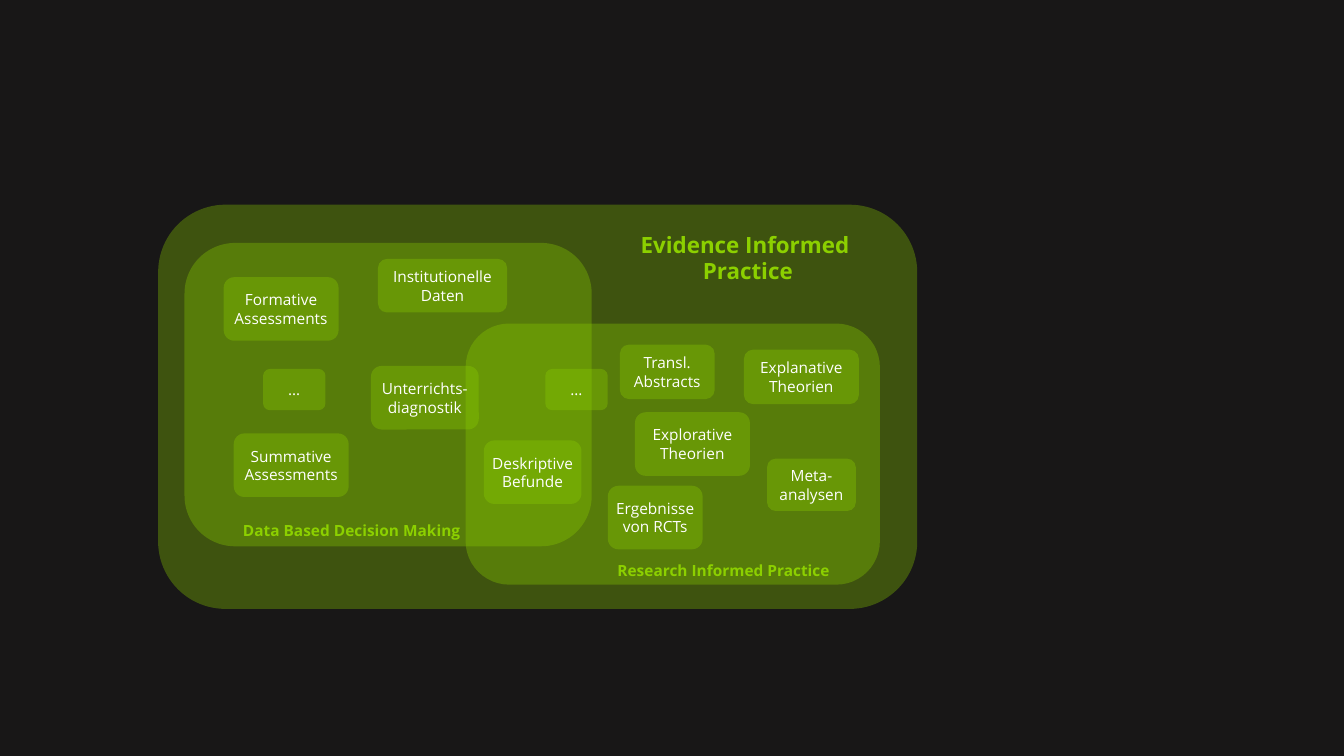
"""Build the slide on evidence informed practice and its overlapping areas."""
from dataclasses import dataclass

from lxml.etree import SubElement
from pptx import Presentation
from pptx.dml.color import RGBColor
from pptx.enum.shapes import MSO_SHAPE as Preset
from pptx.enum.text import MSO_ANCHOR as Anchor, PP_ALIGN as Align
from pptx.oxml.ns import qn
from pptx.shapes.autoshape import Shape
from pptx.slide import Slide
from pptx.text.text import TextFrame
from pptx.util import Pt

FONT = "Open Sans"
GREEN, WHITE, BACKDROP = "8CD000", "FFFFFF", "181717"
OPACITY = 33
BODY_SIZE, TITLE_SIZE = 11, 16
CONCEPT_WIDTH, CONCEPT_HEIGHT = 82.1, 45.4
ELLIPSIS_TOP, ELLIPSIS_WIDTH, ELLIPSIS_HEIGHT = 263.5, 44.6, 29.5
HEADING_WIDTH = 262.1


@dataclass
class Area:
    """A translucent rounded area."""
    left: float
    top: float
    width: float
    height: float


@dataclass
class Concept:
    """A small rounded area that carries a term."""
    term: str
    left: float
    top: float
    width: float = CONCEPT_WIDTH
    height: float = CONCEPT_HEIGHT


@dataclass
class Heading:
    """The name of an area, one entry per line."""
    lines: list[str]
    left: float
    top: float
    height: float = 20.9
    size: float = BODY_SIZE


AREAS = [
    Area(113, 146.2, 542.2, 288.7),
    Area(332.6, 231.1, 295.9, 186.5),
    Area(131.8, 173.5, 290.9, 216.7),
]

CONCEPTS = [
    Concept("Explanative Theorien", 531.4, 249.8, height=38.9),
    Concept("Explorative Theorien", 453.6, 294.5),
    Concept("Ergebnisse von RCTs", 434.2, 347, 67.7),
    Concept("Meta-analysen", 547.9, 327.6, 63.4, 37.4),
    Concept("Transl. Abstracts", 442.8, 246.2, 67.7, 38.9),
    Concept("Deskriptive Befunde", 345.6, 314.6, 69.8),
    Concept("Unterrichts-diagnostik", 265, 261.4, 77),
    Concept("Formative Assessments", 159.8, 198),
    Concept("Summative Assessments", 167, 309.6),
    Concept("Institutionelle Daten", 270, 185, 92.2, 38.2),
] + [
    Concept("…", left, ELLIPSIS_TOP, ELLIPSIS_WIDTH, ELLIPSIS_HEIGHT)
    for left in (187.9, 389.5)
]

HEADINGS = [
    Heading(["Evidence Informed ", "Practice"], 403.2, 161.3, 46.1, TITLE_SIZE),
    Heading(["Research Informed Practice"], 385.9, 397.4),
    Heading(["Data Based Decision Making"], 120.2, 368.6),
]


def rgb(code: str) -> RGBColor:
    """Turn a hex string into a colour."""
    return RGBColor.from_string(code)


def write(frame: TextFrame, lines: list[str], size: float, colour: str, bold: bool = False) -> None:
    """Fill a frame with centred, wrapped lines."""
    frame.word_wrap = True
    frame.text = "\n".join(lines)
    for paragraph in frame.paragraphs:
        paragraph.alignment = Align.CENTER
        paragraph.font.name = FONT
        paragraph.font.size = Pt(size)
        paragraph.font.bold = bold
        paragraph.font.color.rgb = rgb(colour)


def draw_area(slide: Slide, area: Area | Concept) -> Shape:
    """Draw a translucent green rounded rectangle without an outline."""
    rounded = slide.shapes.add_shape(
        Preset.ROUNDED_RECTANGLE, Pt(area.left), Pt(area.top), Pt(area.width), Pt(area.height))
    rounded.shadow.inherit = False
    rounded.line.fill.background()
    rounded.fill.solid()
    rounded.fill.fore_color.rgb = rgb(GREEN)
    tint = next(rounded.element.spPr.iter(qn("a:srgbClr")))
    SubElement(tint, qn("a:alpha")).set("val", str(OPACITY * 1000))
    return rounded


def draw_concept(slide: Slide, concept: Concept) -> None:
    """Draw an area with its term in the middle."""
    frame = draw_area(slide, concept).text_frame
    frame.margin_left = frame.margin_right = frame.margin_top = frame.margin_bottom = 0
    frame.vertical_anchor = Anchor.MIDDLE
    write(frame, [concept.term], BODY_SIZE, WHITE)


def draw_heading(slide: Slide, heading: Heading) -> None:
    """Write the bold green name of an area."""
    caption = slide.shapes.add_textbox(
        Pt(heading.left), Pt(heading.top), Pt(HEADING_WIDTH), Pt(heading.height))
    write(caption.text_frame, heading.lines, heading.size, GREEN, bold=True)


def main() -> None:
    """Assemble and save the presentation."""
    deck = Presentation()
    deck.slide_width, deck.slide_height = Pt(960), Pt(540)
    slide = deck.slides.add_slide(deck.slide_layouts[6])
    slide.background.fill.solid()
    slide.background.fill.fore_color.rgb = rgb(BACKDROP)
    for area in AREAS:
        draw_area(slide, area)
    for concept in CONCEPTS:
        draw_concept(slide, concept)
    for heading in HEADINGS:
        draw_heading(slide, heading)
    deck.save("out.pptx")


main()
